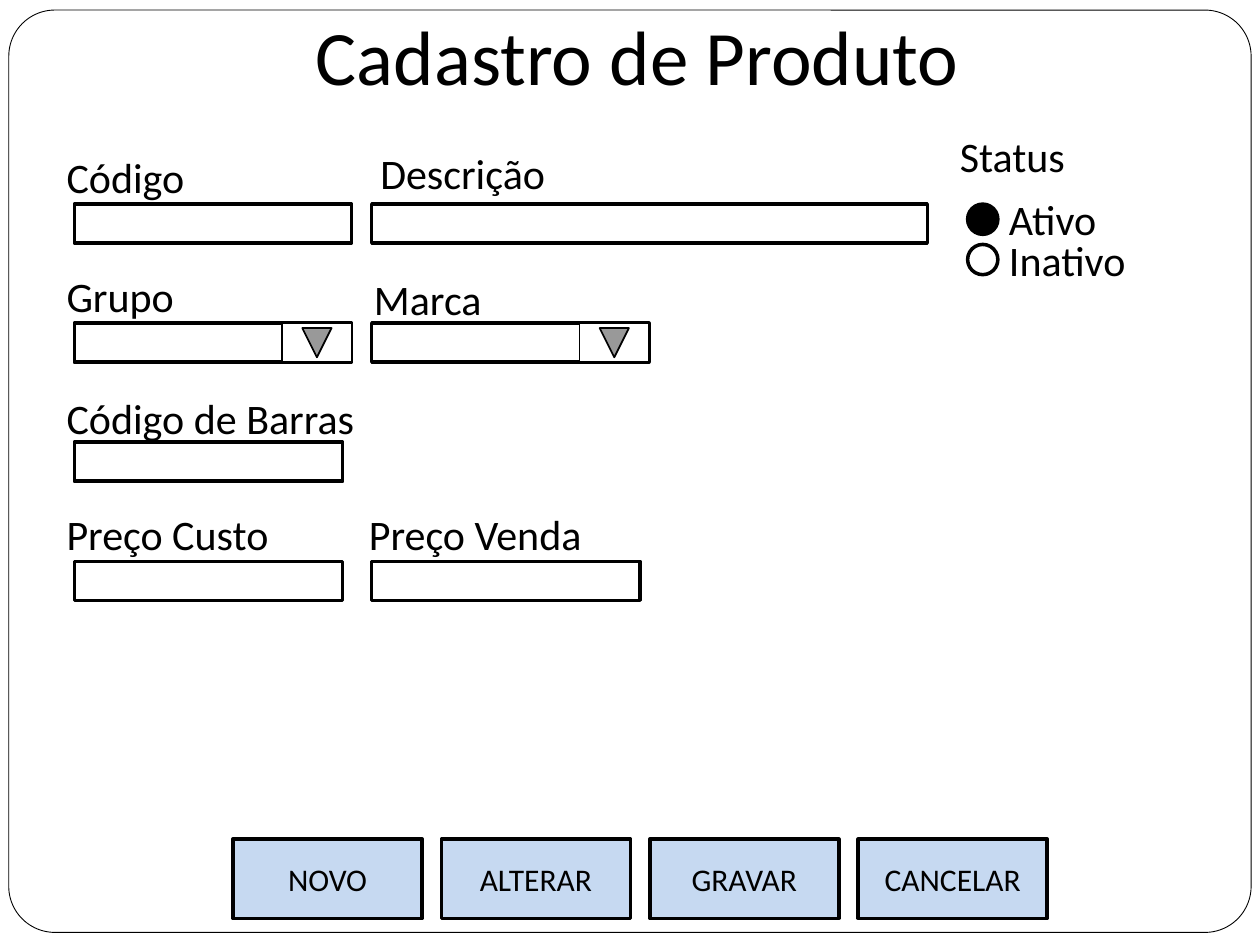
from pptx import Presentation
from pptx.dml.color import RGBColor
from pptx.enum.shapes import MSO_SHAPE
from pptx.enum.text import MSO_ANCHOR, PP_ALIGN
from pptx.util import Inches, Pt

RECT, OVAL = MSO_SHAPE.RECTANGLE, MSO_SHAPE.OVAL
FRAME, ARROW = MSO_SHAPE.ROUNDED_RECTANGLE, MSO_SHAPE.ACTION_BUTTON_FORWARD_OR_NEXT
MIDDLE, LEFT, CENTER = MSO_ANCHOR.MIDDLE, PP_ALIGN.LEFT, PP_ALIGN.CENTER
FONT = "Calibri"
COLORS = {"ink": "000000", "paper": "FFFFFF", "button": "C6D9F1"}

# Content: label, label left and top, column, row, field width, is a dropdown
TITLE = "Cadastro de Produto"
FIELDS = [
    ("Código", 0.43, 1.15, 0, 0, 2.2, False),
    ("Descrição", 2.92, 1.12, 1, 0, 4.41, False),
    ("Grupo", 0.43, 2.1, 0, 1, 2.2, True),
    ("Marca", 2.87, 2.12, 1, 1, 2.2, True),
    ("Código de Barras", 0.43, 3.07, 0, 2, 2.13, False),
    ("Preço Custo", 0.43, 3.99, 0, 3, 2.13, False),
    ("Preço Venda", 2.83, 3.99, 1, 3, 2.13, False),
]
STATUS = [("Ativo", "ink"), ("Inativo", "paper")]
BUTTONS = ["NOVO", "ALTERAR", "GRAVAR", "CANCELAR"]

# Grid in inches
FIELD_LEFT, COLUMN_STEP = 0.59, 2.36
FIELD_TOP, ROW_STEP, FIELD_HEIGHT = 1.62, 0.945, 0.31
RADIO_LEFT, RADIO_SIZE, RADIO_STEP = 7.68, 0.24, 0.32
BUTTON_LEFT, BUTTON_STEP = 1.85, 1.654
ARROW_WIDTH, ARROW_HEIGHT = 0.31, 0.55

deck = Presentation()
deck.slide_width, deck.slide_height = Inches(10), Inches(7.5)
page = deck.slides.add_slide(deck.slide_layouts[5])


def color(name):
    return RGBColor.from_string(COLORS[name])


def write(shape, text, size, align=LEFT):
    shape.text_frame.word_wrap = True
    para = shape.text_frame.paragraphs[0]
    para.text, para.alignment = text, align
    para.font.name, para.font.size = FONT, Pt(size)
    para.font.color.rgb = color("ink")


def add_label(text, left, top, width=3):
    box = page.shapes.add_textbox(*map(Inches, (left, top, width, 0.44)))
    write(box, text, 24)


def add_box(kind, left, top, width, height, fill="paper", line=2):
    box = page.shapes.add_shape(kind, *map(Inches, (left, top, width, height)))
    box.shadow.inherit = False
    box.fill.solid()
    box.fill.fore_color.rgb = color(fill)
    box.line.color.rgb = color("ink")
    box.line.width = Pt(line)
    return box


# Window frame, kept behind the title
frame = add_box(FRAME, 0.07, 0.08, 9.86, 7.32, line=0.5)
frame.adjustments[0] = 0.05
title = page.shapes.title
title.element.addprevious(frame.element)
title.left, title.top, title.width, title.height = map(Inches, (0.56, -0.03, 9, 0.93))
title.text_frame.vertical_anchor = MIDDLE
write(title, TITLE, 44, CENTER)

# Fields with their labels
for text, label_left, label_top, column, row, width, dropdown in FIELDS:
    left = FIELD_LEFT + column * COLUMN_STEP
    top = FIELD_TOP + row * ROW_STEP
    add_label(text, label_left, label_top)
    add_box(RECT, left, top, width, FIELD_HEIGHT)
    if dropdown:
        # Turned by 90 degrees, so its height lies along the field
        arrow_left = left + width - (ARROW_HEIGHT + ARROW_WIDTH) / 2
        arrow_top = top + (FIELD_HEIGHT - ARROW_HEIGHT) / 2
        arrow = add_box(ARROW, arrow_left, arrow_top, ARROW_WIDTH, ARROW_HEIGHT, line=1)
        arrow.rotation = 90

# Status choice
add_label("Status", 7.52, 0.99, 2.36)
for index, (text, fill) in enumerate(STATUS):
    top = FIELD_TOP + index * RADIO_STEP
    add_box(OVAL, RADIO_LEFT, top, RADIO_SIZE, RADIO_SIZE, fill)
    add_label(text, 7.91, top - 0.13, 2)

# Command buttons
for index, text in enumerate(BUTTONS):
    button = add_box(RECT, BUTTON_LEFT + index * BUTTON_STEP, 6.66, 1.5, 0.63, "button")
    button.text_frame.vertical_anchor = MIDDLE
    write(button, text, 18, CENTER)

deck.save("out.pptx")
